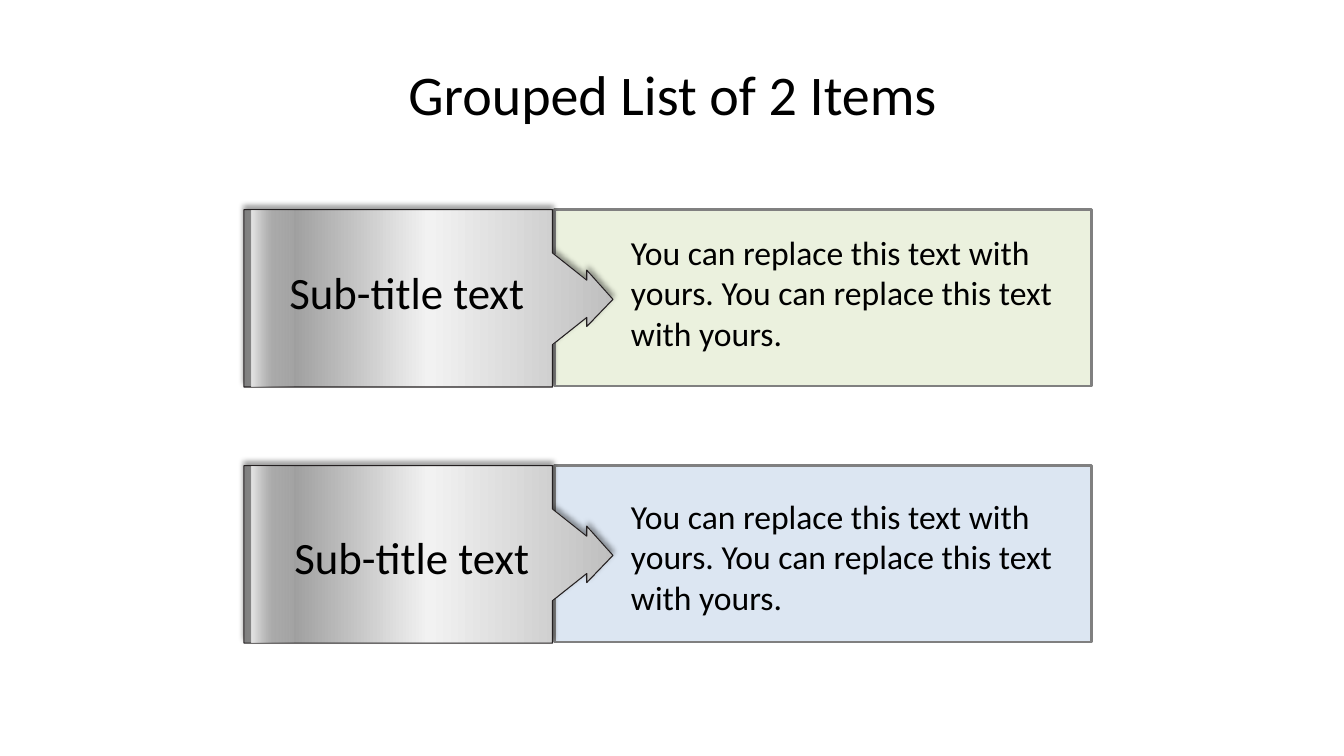
from dataclasses import dataclass

from lxml.etree import SubElement
from pptx import Presentation
from pptx.dml.color import RGBColor
from pptx.enum.shapes import MSO_SHAPE
from pptx.enum.text import MSO_ANCHOR, MSO_AUTO_SIZE, PP_ALIGN
from pptx.oxml.ns import qn
from pptx.shapes.autoshape import Shape
from pptx.shapes.shapetree import SlideShapes
from pptx.slide import Slide
from pptx.util import Inches, Pt

BLACK = RGBColor(0x00, 0x00, 0x00)
WHITE = RGBColor(0xFF, 0xFF, 0xFF)
GRAY = RGBColor(0x80, 0x80, 0x80)
SILVER = RGBColor(0xBF, 0xBF, 0xBF)
LIGHT_GRAY = RGBColor(0xD9, 0xD9, 0xD9)
PALE_GRAY = RGBColor(0xF2, 0xF2, 0xF2)
INK = RGBColor(0x23, 0x1F, 0x20)
PALE_GREEN = RGBColor(0xEB, 0xF1, 0xDE)
PALE_BLUE = RGBColor(0xDC, 0xE6, 0xF2)

FONT = "Calibri"
BODY = "You can replace this text with yours. You can replace this text with yours."
ARROW_LEFT = 2.42
ARROW_OUTLINE = [
    (3.66, 0.89), (3.4, 0.6), (3.4, 0.7), (3.06, 0.43), (3.06, 0), (0, 0),
    (0, 1.76), (3.06, 1.76), (3.06, 1.34), (3.4, 1.07), (3.4, 1.16),
]


@dataclass(frozen=True)
class Stop:
    percent: int
    color: RGBColor
    opacity: int = 100


@dataclass(frozen=True)
class Item:
    top: float
    body_top: float
    label_top: float
    label: str
    color: RGBColor


METAL = [Stop(0, GRAY), Stop(50, PALE_GRAY), Stop(100, SILVER)]
GLOSS = [Stop(0, WHITE, 81), Stop(50, LIGHT_GRAY, 35), Stop(100, PALE_GRAY, 5)]
ITEMS = [
    Item(2.08, 2.25, 2.58, "Sub-title text ", PALE_GREEN),
    Item(4.62, 4.87, 5.21, "Sub-title text", PALE_BLUE),
]


def fill_gradient(shape: Shape, stops: list[Stop], angle: int) -> None:
    shape.fill.gradient()
    gradient = shape.fill._xPr.find(qn("a:gradFill"))
    gradient.set("rotWithShape", "1")
    for child in list(gradient):
        gradient.remove(child)
    stop_list = SubElement(gradient, qn("a:gsLst"))
    for stop in stops:
        mark = SubElement(stop_list, qn("a:gs"), pos=str(stop.percent * 1000))
        color = SubElement(mark, qn("a:srgbClr"), val=str(stop.color))
        if stop.opacity < 100:
            SubElement(color, qn("a:alpha"), val=str(stop.opacity * 1000))
    SubElement(gradient, qn("a:lin"), ang=str(angle * 60000), scaled="0")


def add_shadow(shape: Shape) -> None:
    shape.shadow.inherit = False
    effects = shape.element.spPr.find(qn("a:effectLst"))
    shadow = SubElement(
        effects, qn("a:outerShdw"), blurRad=str(Pt(4)), dist=str(Pt(3)),
        dir=str(270 * 60000), rotWithShape="0",
    )
    color = SubElement(shadow, qn("a:srgbClr"), val=str(BLACK))
    SubElement(color, qn("a:alpha"), val="40000")


def add_text(
    shapes: SlideShapes, left: float, top: float, width: float, height: float,
    text: str, size: int, align: PP_ALIGN = PP_ALIGN.LEFT,
) -> Shape:
    box = shapes.add_textbox(Inches(left), Inches(top), Inches(width), Inches(height))
    frame = box.text_frame
    frame.word_wrap = True
    frame.auto_size = MSO_AUTO_SIZE.SHAPE_TO_FIT_TEXT
    paragraph = frame.paragraphs[0]
    paragraph.alignment = align
    run = paragraph.add_run()
    run.text = text
    run.font.name = FONT
    run.font.size = Pt(size)
    run.font.color.rgb = BLACK
    return box


def add_panel(slide: Slide, item: Item) -> None:
    group = slide.shapes.add_group_shape()
    panel = group.shapes.add_shape(
        MSO_SHAPE.RECTANGLE, Inches(5.5), Inches(item.top), Inches(5.33), Inches(1.75)
    )
    panel.shadow.inherit = False
    panel.fill.solid()
    panel.fill.fore_color.rgb = item.color
    panel.line.color.rgb = GRAY
    panel.line.width = Pt(2)
    add_text(group.shapes, 6.16, item.body_top, 4.58, 1.31, BODY, 24)


def add_title(slide: Slide) -> None:
    title = add_text(
        slide.shapes, 0.67, 0.3, 12, 1.25, "Grouped List of 2 Items", 40, PP_ALIGN.CENTER
    )
    title.text_frame.auto_size = MSO_AUTO_SIZE.NONE
    title.text_frame.vertical_anchor = MSO_ANCHOR.MIDDLE


def add_arrow(slide: Slide, item: Item) -> None:
    points = [(Inches(ARROW_LEFT + x), Inches(item.top + y)) for x, y in ARROW_OUTLINE]
    builder = slide.shapes.build_freeform(*points[0])
    builder.add_line_segments(points[1:], close=True)
    arrow = builder.convert_to_shape()
    fill_gradient(arrow, METAL, 0)
    arrow.line.color.rgb = INK
    arrow.line.width = Pt(0)
    add_shadow(arrow)


def add_label(slide: Slide, item: Item) -> None:
    add_text(slide.shapes, 2.5, item.label_top, 3.17, 0.64, item.label, 32, PP_ALIGN.CENTER)


def add_gloss(slide: Slide, item: Item) -> None:
    gloss = slide.shapes.add_shape(
        MSO_SHAPE.RECTANGLE, Inches(1.83), Inches(item.top + 0.67), Inches(1.75), Inches(0.42)
    )
    gloss.rotation = 270
    gloss.element.spPr.find(qn("a:xfrm")).set("flipH", "1")
    gloss.shadow.inherit = False
    fill_gradient(gloss, GLOSS, 90)
    gloss.line.fill.background()


def main() -> None:
    presentation = Presentation()
    presentation.slide_width = Inches(13.33)
    presentation.slide_height = Inches(7.5)
    slide = presentation.slides.add_slide(presentation.slide_layouts[6])
    for item in ITEMS:
        add_panel(slide, item)
    add_title(slide)
    for add_layer in (add_arrow, add_label, add_gloss):
        for item in ITEMS:
            add_layer(slide, item)
    presentation.save("out.pptx")


if __name__ == "__main__":
    main()
